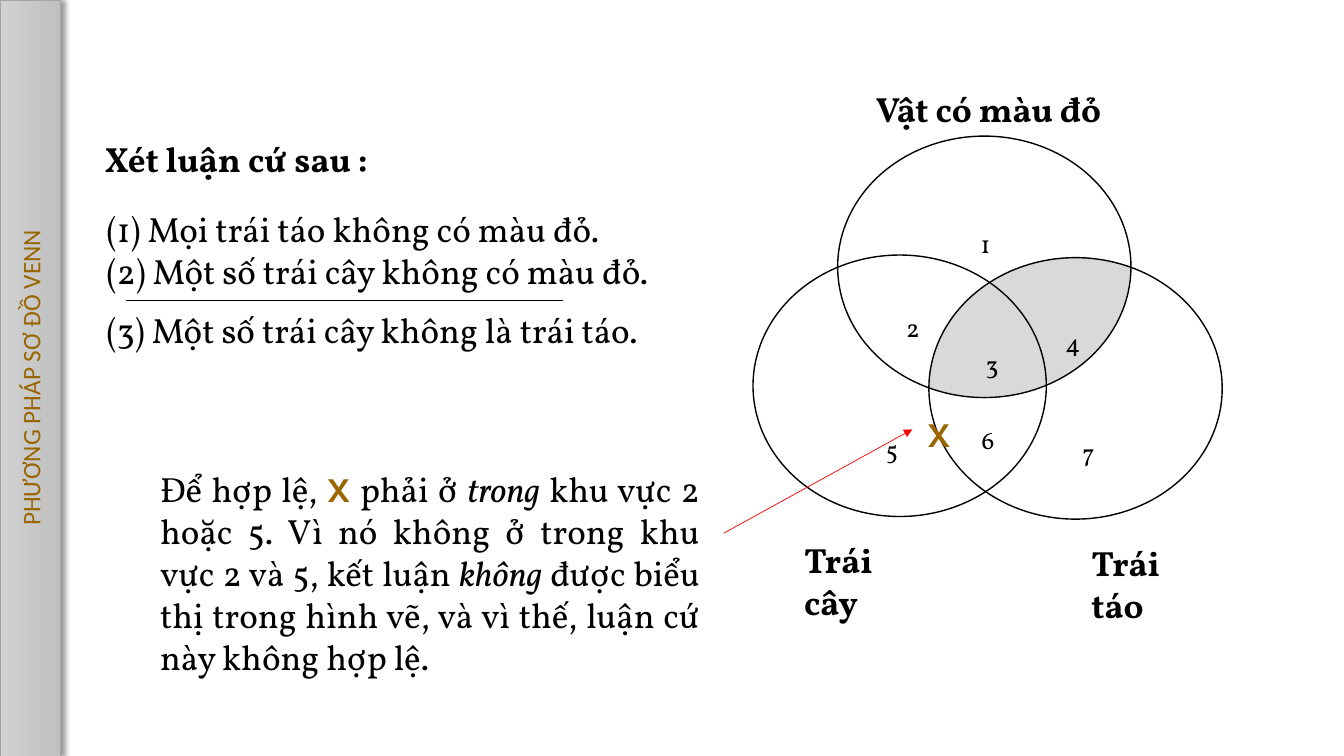
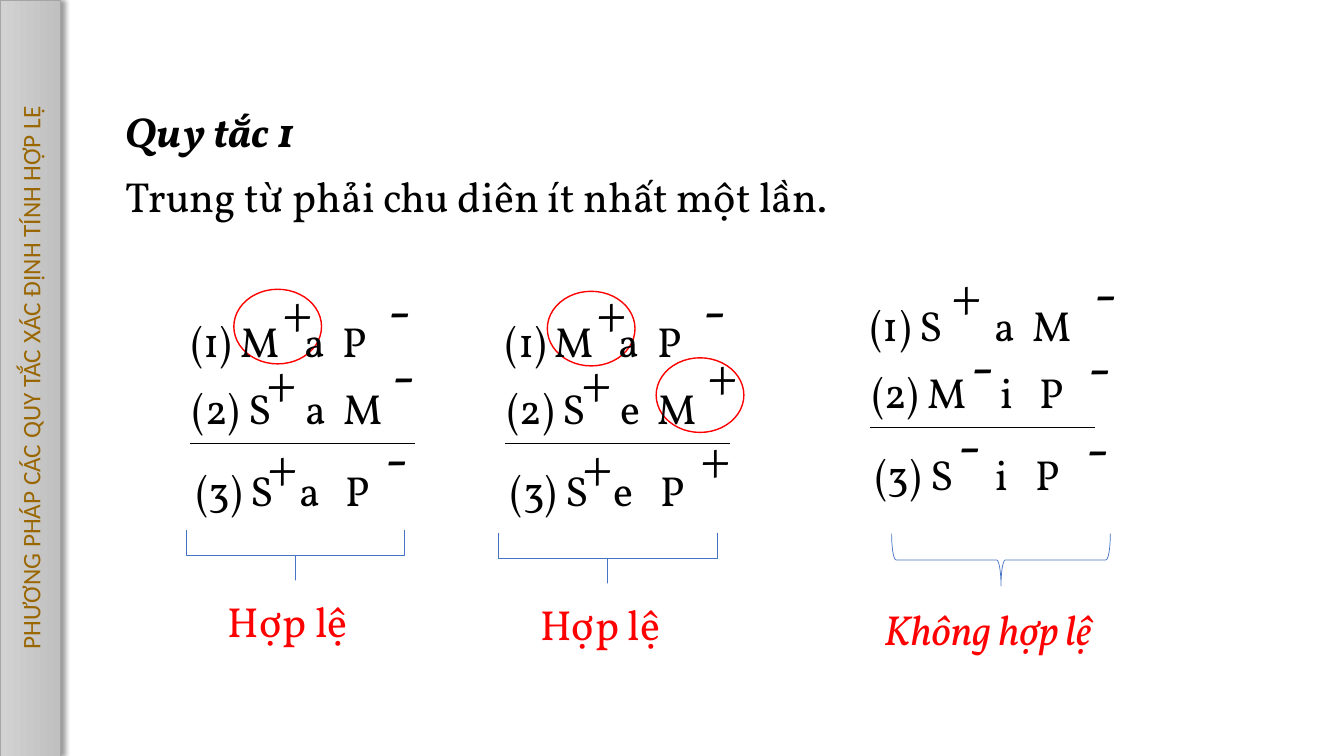
from dataclasses import dataclass
from math import acos, atan2, cos, hypot, pi, sin

from lxml import etree
from pptx import Presentation
from pptx.dml.color import RGBColor
from pptx.enum.shapes import MSO_CONNECTOR, MSO_SHAPE
from pptx.enum.text import MSO_ANCHOR, MSO_AUTO_SIZE, PP_ALIGN
from pptx.oxml import parse_xml
from pptx.oxml.ns import nsdecls, qn
from pptx.util import Inches, Pt

OVAL = MSO_SHAPE.OVAL
BRACE = MSO_SHAPE.RIGHT_BRACE
STRAIGHT = MSO_CONNECTOR.STRAIGHT
MIDDLE = MSO_ANCHOR.MIDDLE
FIT_SHAPE = MSO_AUTO_SIZE.SHAPE_TO_FIT_TEXT
NO_FIT = MSO_AUTO_SIZE.NONE
LEFT, CENTER, JUSTIFY = PP_ALIGN.LEFT, PP_ALIGN.CENTER, PP_ALIGN.JUSTIFY
TITLE_ONLY = 5
CELL = Inches(0.1)
COLUMNS, ROWS = 133.33, 75


@dataclass(frozen=True)
class Theme:
    ink: str = "000000"
    paper: str = "FFFFFF"
    accent: str = "996600"
    alert: str = "FF0000"
    shade: str = "D9D9D9"
    brace: str = "4472C4"
    band_light: str = "D2D2D2"
    band_dark: str = "C0C0C0"
    band_edge: str = "A5A5A5"
    serif: str = "Vollkorn"
    sans: str = "Karla"
    band_font: str = "Calibri"
    small: int = 18
    body: int = 25
    large: int = 30
    sign: int = 40
    thin: float = 0.5
    outline: float = 1


def cells(*counts):
    return [round(count * CELL) for count in counts]


def rgb(value):
    return RGBColor.from_string(value)


class Deck:
    def __init__(self, theme):
        self.theme = theme
        self.presentation = Presentation()
        self.presentation.slide_width, self.presentation.slide_height = cells(COLUMNS, ROWS)
        self.shapes = None

    def new_slide(self, heading):
        theme = self.theme
        layout = self.presentation.slide_layouts[TITLE_ONLY]
        self.shapes = self.presentation.slides.add_slide(layout).shapes
        band = self.shapes.title
        thickness = 6
        offset = (ROWS - thickness) / 2
        band.left, band.top, band.width, band.height = cells(-offset, offset, ROWS, thickness)
        band.rotation = 270
        band.fill.gradient()
        band.fill.gradient_angle = 270
        for stop, color in zip(band.fill.gradient_stops, (theme.band_light, theme.band_dark)):
            stop.color.rgb = rgb(color)
        self.stroke(band.line, theme.band_edge, theme.thin)
        band._element.spPr.append(parse_xml(
            f'<a:effectLst {nsdecls("a")}><a:outerShdw blurRad="{Pt(4)}" dist="{Pt(3)}" '
            'dir="0" algn="l" rotWithShape="0"><a:srgbClr val="000000">'
            '<a:alpha val="40000"/></a:srgbClr></a:outerShdw></a:effectLst>'))
        frame = band.text_frame
        frame.text = heading
        frame.auto_size = NO_FIT
        frame.vertical_anchor = MIDDLE
        frame.paragraphs[0].alignment = CENTER
        self.style(frame.paragraphs[0].runs[0], theme.small, theme.accent, font=theme.band_font)

    def style(self, run, size, color=None, bold=False, italic=False, font=None):
        run.font.name = font or self.theme.serif
        run.font.size = Pt(size)
        run.font.bold = bold
        run.font.italic = italic
        run.font.color.rgb = rgb(color or self.theme.ink)

    def stroke(self, line, color, width):
        line.color.rgb = rgb(color)
        line.width = Pt(width)

    def text(self, box, content, size, align=LEFT, **look):
        frame = self.shapes.add_textbox(*cells(*box)).text_frame
        frame.word_wrap = True
        frame.auto_size = FIT_SHAPE
        frame.text = content
        for paragraph in frame.paragraphs:
            paragraph.alignment = align
            for run in paragraph.runs:
                self.style(run, size, **look)
        return frame

    def rich_text(self, box, pieces, size, align):
        paragraph = self.text(box, "", size, align).paragraphs[0]
        for words, look in pieces:
            run = paragraph.add_run()
            run.text = words
            self.style(run, size, **look)

    def tabbed(self, box, content, stops, size):
        paragraph = self.text(box, content, size).paragraphs[0]
        tabs = etree.SubElement(paragraph._p.get_or_add_pPr(), qn("a:tabLst"))
        for position in cells(*stops):
            etree.SubElement(tabs, qn("a:tab"), pos=str(position), algn="l")

    def outline(self, kind, box, color, width, fill=None):
        figure = self.shapes.add_shape(kind, *cells(*box))
        figure.shadow.inherit = False
        if fill:
            figure.fill.solid()
            figure.fill.fore_color.rgb = rgb(fill)
        else:
            figure.fill.background()
        self.stroke(figure.line, color, width)
        return figure

    def region(self, points, fill):
        start, *others = [cells(*point) for point in points]
        builder = self.shapes.build_freeform(*start, scale=1.0)
        builder.add_line_segments(others, close=True)
        area = builder.convert_to_shape()
        area.shadow.inherit = False
        area.fill.solid()
        area.fill.fore_color.rgb = rgb(fill)
        area.line.fill.background()

    def line(self, start, end, color, arrow=False):
        connector = self.shapes.add_connector(STRAIGHT, *cells(*start, *end))
        self.stroke(connector.line, color, self.theme.thin)
        if arrow:
            etree.SubElement(connector.line._get_or_add_ln(), qn("a:tailEnd"), type="triangle")
        etree.SubElement(connector._element.spPr, qn("a:effectLst"))

    def brace(self, center_x, center_y, depth, square):
        span = 21.7
        box = (center_x - depth / 2, center_y - span / 2, depth, span)
        figure = self.outline(BRACE, box, self.theme.brace, self.theme.thin)
        figure.rotation = 90
        if square:
            figure.adjustments[0] = 0


def lens(first, second, radius_x, radius_y, steps=60):
    dx = (second[0] - first[0]) / radius_x
    dy = (second[1] - first[1]) / radius_y
    heading, half = atan2(dy, dx), acos(hypot(dx, dy) / 2)
    points = []
    for (x, y), middle in ((first, heading), (second, heading + pi)):
        for step in range(steps):
            angle = middle - half + 2 * half * step / steps
            points.append((x + radius_x * cos(angle), y + radius_y * sin(angle)))
    return points


def venn_slide(deck):
    theme = deck.theme
    deck.new_slide("PHƯƠNG PHÁP SƠ ĐỒ VENN")

    radius_x, radius_y = 14.55, 12.97
    red_things, fruits, apples = (97.65, 26.47), (89.25, 38.27), (106.7, 38.53)
    deck.region(lens(red_things, apples, radius_x, radius_y), theme.shade)
    for x, y in (red_things, fruits, apples):
        box = (x - radius_x, y - radius_y, 2 * radius_x, 2 * radius_y)
        deck.outline(OVAL, box, theme.ink, theme.outline)

    zones = ((96.3, 22.2), (88.9, 30.5), (96.8, 34.2), (104.7, 32),
             (86.9, 42.6), (96.4, 41.6), (106.4, 42.9))
    for number, corner in enumerate(zones, 1):
        deck.text((*corner, 3.3, 4), str(number), theme.small)
    for name, box in (("Vật có màu đỏ", (85.9, 8.2, 26, 5.2)),
                      ("Trái cây", (78.8, 52.9, 12, 9.4)),
                      ("Trái táo", (107.3, 53.2, 12, 9.4))):
        deck.text(box, name, theme.body, bold=True)

    intro = deck.text((9.4, 12.3, 32.2, 5.7), "Xét luận cứ sau :", theme.body, bold=True)
    intro.paragraphs[0].line_spacing = 1.2
    argument = deck.text(
        (9.6, 20.1, 62.5, 15.3),
        "(1) Mọi trái táo không có màu đỏ.\n"
        "(2) Một số trái cây không có màu đỏ.\n"
        "(3) Một số trái cây không là trái táo.", theme.body)
    argument.paragraphs[1].space_after = Pt(12)
    deck.line((12.5, 29.8), (55.9, 29.8), theme.ink)

    mark = {"color": theme.accent, "bold": True, "font": theme.sans}
    stress = {"italic": True}
    deck.text((91, 40.4, 4, 5.2), "X", theme.body, **mark)
    deck.rich_text((14.9, 45.9, 55.5, 22), (
        ("Để hợp lệ, ", {}), ("X", mark), (" phải ở ", {}), ("trong", stress),
        (" khu vực 2 hoặc 5. Vì nó không ở trong khu vực 2 và 5, kết luận ", {}),
        ("không", stress),
        (" được biểu thị trong hình vẽ, và vì thế, luận cứ này không hợp lệ.", {}),
    ), theme.body, JUSTIFY)
    deck.line((71.8, 52.9), (90.5, 42.6), theme.alert, arrow=True)


@dataclass(frozen=True)
class Syllogism:
    left: float
    top: float
    statements: tuple
    stops: tuple
    signs: str
    sign_places: tuple
    circles: tuple
    brace: tuple
    verdict: str
    verdict_place: tuple
    valid: bool = True


VALID_STOPS = ((11.2, 15), (11.2, 14.9), (10.2, 14.8))
VALID_SIGNS = ((9, -3.9), (19.6, -4.1), (7.5, 3.1), (20, 2.4), (7.6, 11.4), (19.3, 10.6))
SYLLOGISMS = (
    Syllogism(18, 30.8, ("(1) M\ta\tP", "(2) S\ta\tM", "(3) S\ta\tP"), VALID_STOPS,
              "+-+-+-", VALID_SIGNS, ((5.2, -2.1),),
              (29.3, 55.05, 5), "Hợp lệ", (21.6, 58.6)),
    Syllogism(49.2, 30.8, ("(1) M\ta\tP", "(2) S\te\tM", "(3) S\te\tP"), VALID_STOPS,
              "+-++++", VALID_SIGNS, ((5.1, -1.9), (15.9, 4.7)),
              (60.3, 55.35, 5), "Hợp lệ", (52.6, 58.9)),
    Syllogism(85.4, 29.2, ("(1) S\ta\tM", "(2) M\ti\tP", "(3) S\ti\tP"),
              ((12.3, 16), (12.7, 16.6), (11.9, 15.8)), "+-----",
              ((8, -3.9), (22.2, -4.1), (10, 3.1), (21.6, 3.2), (8.7, 10.9), (21.4, 11.2)),
              (), (99.3, 55.55, 5.2), "Không hợp lệ", (86.7, 59.4), False),
)
STATEMENT_OFFSETS = ((0, 0), (0.15, 6.7), (0.5, 14.8))


def rule_slide(deck):
    theme = deck.theme
    deck.new_slide("PHƯƠNG PHÁP CÁC QUY TẮC XÁC ĐỊNH TÍNH HỢP LỆ")
    deck.text((11.4, 10, 20.2, 6.1), "Quy tắc 1", theme.large, bold=True, italic=True)
    deck.text((11.5, 16.4, 107.1, 6.1), "Trung từ phải chu diên ít nhất một lần.",
              theme.large, JUSTIFY)

    for case in SYLLOGISMS:
        for x, y in case.circles:
            deck.outline(OVAL, (case.left + x, case.top + y, 8.7, 7.4),
                         theme.alert, theme.outline, theme.paper)
        for statement, (x, y), stops in zip(case.statements, STATEMENT_OFFSETS, case.stops):
            deck.tabbed((case.left + x, case.top + y, 25, 6.1), statement, stops, theme.large)
        for sign, (x, y) in zip(case.signs, case.sign_places):
            deck.text((case.left + x, case.top + y, 4.8, 7.7), sign, theme.sign)
        rule_left, rule_top = case.left + 0.9, case.top + 13.2
        deck.line((rule_left, rule_top), (rule_left + 22.3, rule_top), theme.ink)
        deck.brace(*case.brace, square=case.valid)
        deck.text((*case.verdict_place, 25.5, 6.1), case.verdict, theme.large,
                  color=theme.alert, italic=not case.valid)


def main():
    deck = Deck(Theme())
    venn_slide(deck)
    rule_slide(deck)
    deck.presentation.save("out.pptx")


if __name__ == "__main__":
    main()
